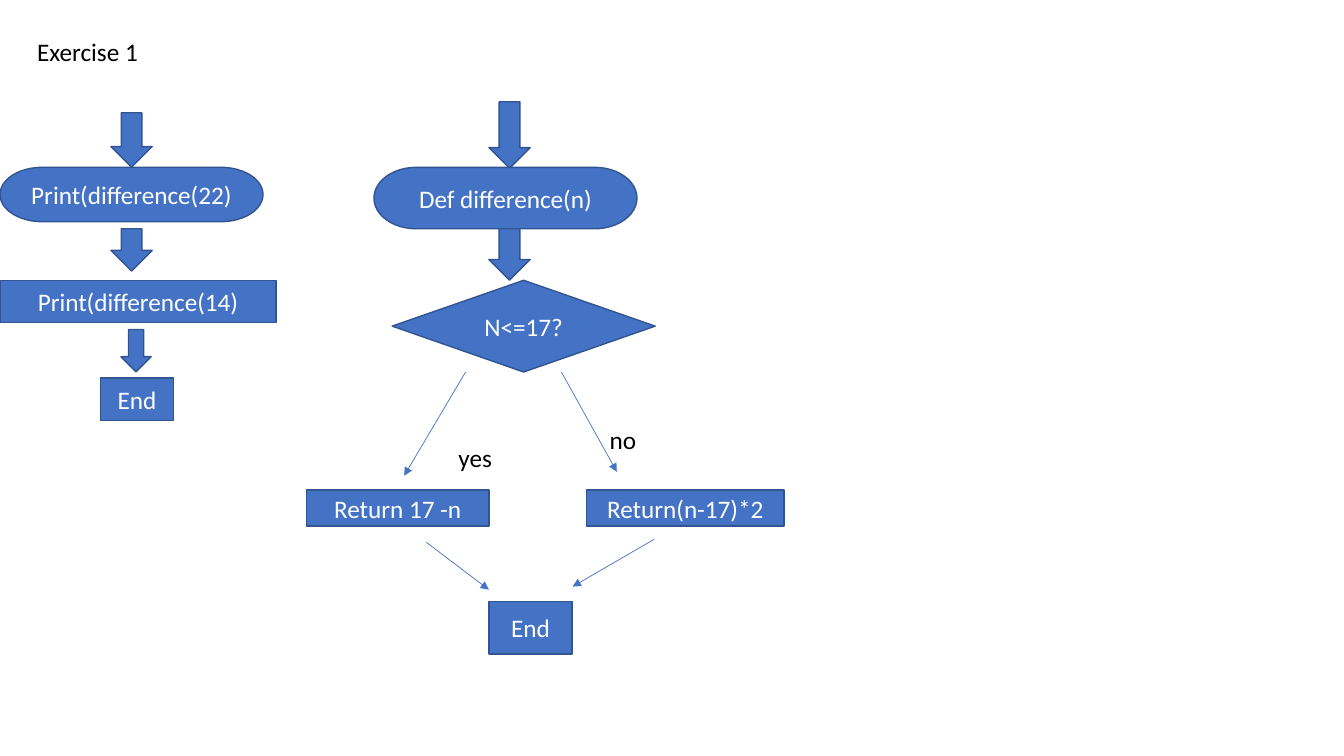
from lxml import etree
from pptx import Presentation
from pptx.dml.color import RGBColor
from pptx.enum import shapes, text
from pptx.oxml.ns import qn
from pptx.util import Pt

COLOURS = {"fill": "4472C4", "outline": "325491", "light": "FFFFFF", "dark": "000000"}
KINDS = shapes.MSO_SHAPE
ARROW_WIDTH = 29.5
TERMINATOR_WIDTH = 187.9


def colour(name):
    """Return the named colour as an RGBColor."""
    return RGBColor.from_string(COLOURS[name])


def write(shape, words, colour_name):
    """Put one line of 18 point text in a shape and return its paragraph."""
    paragraph = shape.text_frame.paragraphs[0]
    paragraph.text = words
    paragraph.font.name = "Calibri"
    paragraph.font.size = Pt(18)
    paragraph.font.color.rgb = colour(colour_name)
    return paragraph


def add_label(slide, words, left, top, width):
    """Add plain dark text."""
    box = slide.shapes.add_textbox(Pt(left), Pt(top), Pt(width), Pt(29.1))
    box.text_frame.word_wrap = True
    box.text_frame.auto_size = text.MSO_AUTO_SIZE.SHAPE_TO_FIT_TEXT
    write(box, words, "dark")


def add_step(slide, kind, left, top, width, height, words=None):
    """Add a filled flowchart shape, with centred text if it has words."""
    shape = slide.shapes.add_shape(kind, Pt(left), Pt(top), Pt(width), Pt(height))
    shape.shadow.inherit = False
    shape.fill.solid()
    shape.fill.fore_color.rgb = colour("fill")
    shape.line.color.rgb = colour("outline")
    shape.line.width = Pt(1)
    if words:
        shape.text_frame.vertical_anchor = text.MSO_ANCHOR.MIDDLE
        write(shape, words, "light").alignment = text.PP_ALIGN.CENTER


def add_branch(slide, *ends):
    """Add a thin line from one point to another, with an arrowhead at its end."""
    branch = slide.shapes.add_connector(
        shapes.MSO_CONNECTOR.STRAIGHT, *(Pt(end) for end in ends))
    branch.line.color.rgb = colour("fill")
    branch.line.width = Pt(0.5)
    etree.SubElement(branch.line._get_or_add_ln(), qn("a:tailEnd"), type="triangle")
    etree.SubElement(branch._element.spPr, qn("a:effectLst"))


def add_main_program(slide):
    """Draw the left flow, which prints two results."""
    add_step(slide, KINDS.DOWN_ARROW, 79.2, 80.6, ARROW_WIDTH, 38.9)
    add_step(slide, KINDS.FLOWCHART_TERMINATOR, 0, 119.5, TERMINATOR_WIDTH, 38.9,
             "Print(difference(22)")
    add_step(slide, KINDS.DOWN_ARROW, 79.2, 163.4, ARROW_WIDTH, 30.2)
    add_step(slide, KINDS.FLOWCHART_PROCESS, 0, 200.2, 197.3, 30.2,
             "Print(difference(14)")
    add_step(slide, KINDS.DOWN_ARROW, 86.4, 235.4, 21.6, 30.2)
    add_step(slide, KINDS.RECTANGLE, 72, 270, 51.8, 30.2, "End")


def add_difference_function(slide):
    """Draw the right flow, which branches on the value of n."""
    add_step(slide, KINDS.DOWN_ARROW, 349.2, 72.7, ARROW_WIDTH, 47.5)
    add_step(slide, KINDS.FLOWCHART_TERMINATOR, 267.1, 119.5, TERMINATOR_WIDTH, 43.9,
             "Def difference(n)")
    add_step(slide, KINDS.DOWN_ARROW, 349.2, 163.4, ARROW_WIDTH, 36.7)
    add_step(slide, KINDS.FLOWCHART_DECISION, 280.1, 200.2, TERMINATOR_WIDTH, 65.5,
             "N<=17?")
    add_branch(slide, 332.6, 265.7, 288.7, 339.8)
    add_branch(slide, 401, 265.7, 440.6, 337)
    add_step(slide, KINDS.RECTANGLE, 218.9, 349.9, 130.3, 25.9, "Return 17 -n")
    add_step(slide, KINDS.RECTANGLE, 419, 349.9, 141.1, 25.9, "Return(n-17)*2")
    add_step(slide, KINDS.FLOWCHART_PROCESS, 349.2, 429.8, 59.4, 37.4, "End")
    add_branch(slide, 304.6, 387.4, 349.2, 421.2)
    add_branch(slide, 467.3, 385.2, 409, 419)
    add_label(slide, "yes", 320.4, 312.5, 54)
    add_label(slide, "no", 428.4, 299.5, 69.1)


def main():
    """Build the slide and save it."""
    presentation = Presentation()
    presentation.slide_width = Pt(960)
    presentation.slide_height = Pt(540)
    slide = presentation.slides.add_slide(presentation.slide_layouts[6])
    add_label(slide, "Exercise 1", 19.4, 22.3, 301)
    add_main_program(slide)
    add_difference_function(slide)
    presentation.save("out.pptx")


main()
